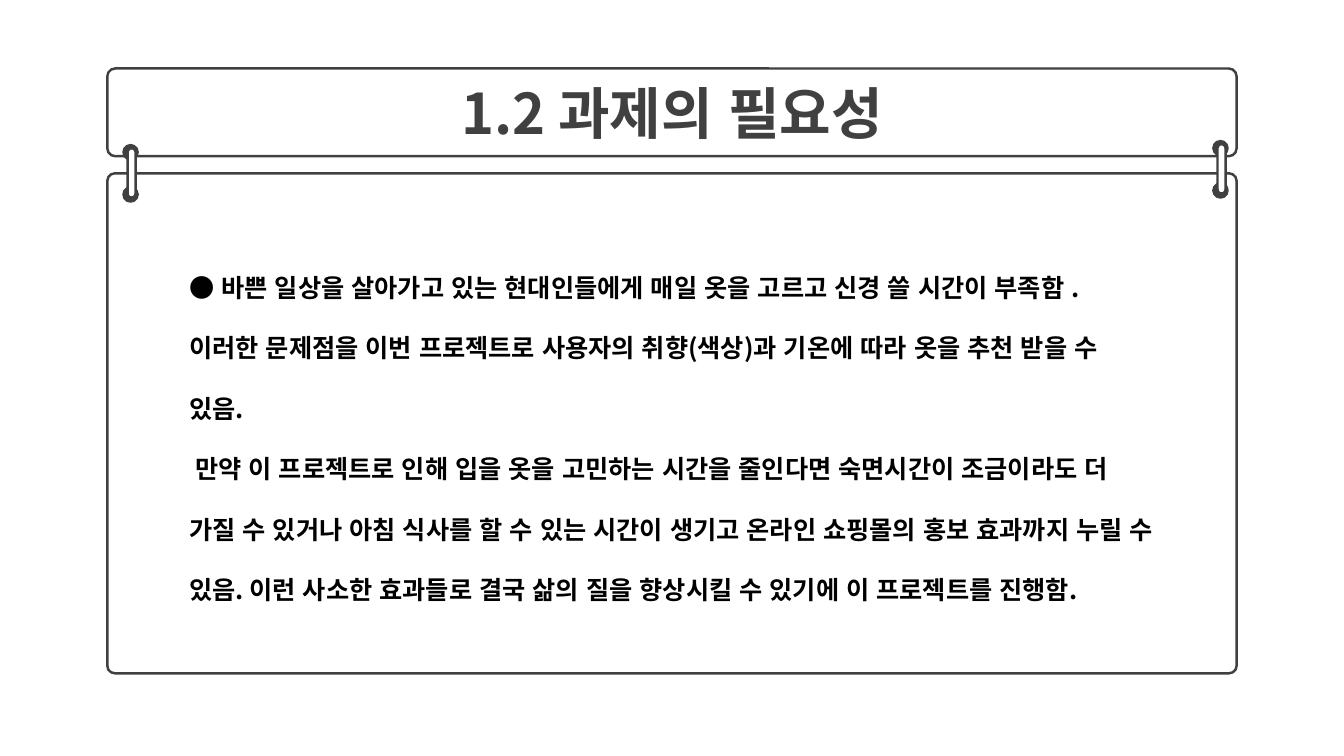
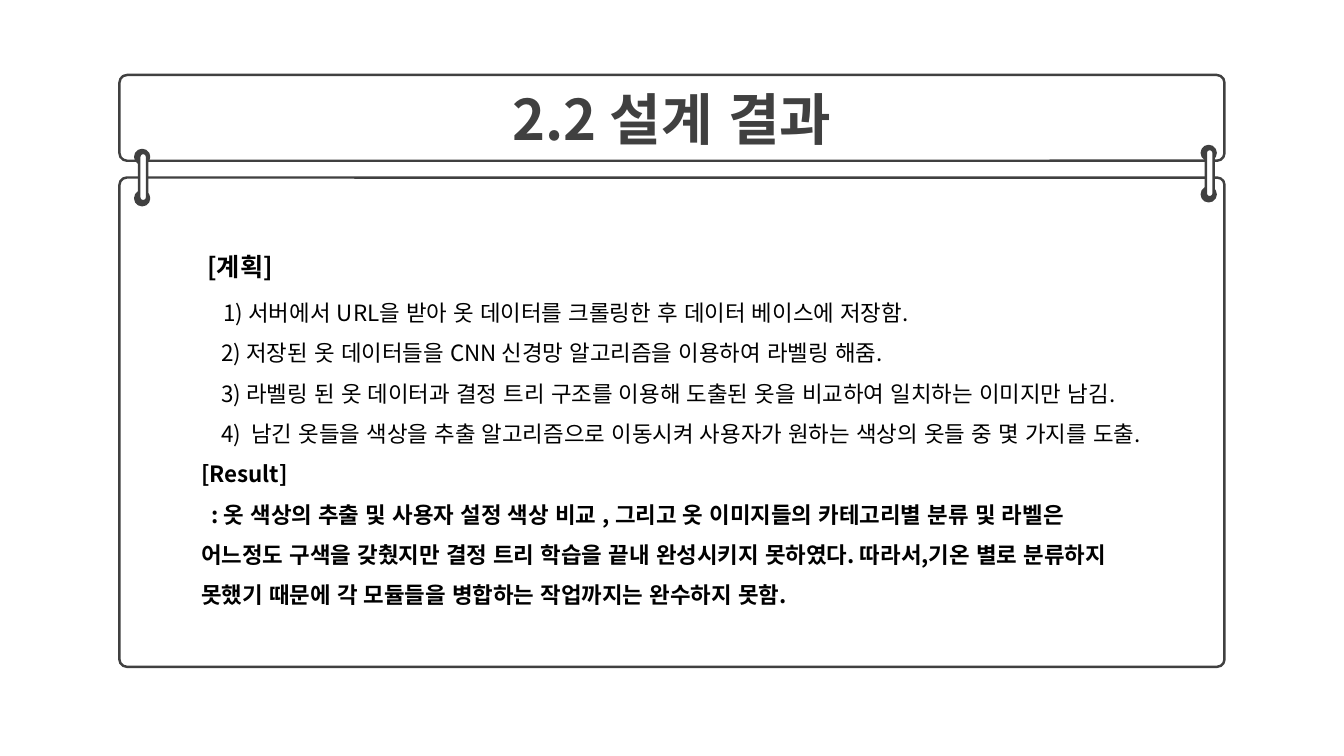
from pptx import Presentation
from pptx.dml.color import RGBColor
from pptx.enum.shapes import MSO_SHAPE as Shape
from pptx.enum.text import MSO_ANCHOR as Anchor, PP_ALIGN as Align
from pptx.oxml.ns import qn
from pptx.util import Inches, Pt

WIDE, HIGH = 13.33, 7.5
FONT = "Noto Sans CJK KR"
HUE = {"ink": "404040", "text": "000000", "paper": "FFFFFF"}

# Each paragraph: first-line indent in inches, space before in points,
# then runs of (text, size, bold); a newline is a line break
SLIDES = [
    {
        "title": "1.2 과제의 필요성", "wide": 11.2, "spacing": 2,
        "body": [
            (0, 0, [("●", 18, False),
                    (" 바쁜 일상을 살아가고 있는 현대인들에게 매일 옷을 고르고 신경 쓸 시간이 부족함 .\n"
                     "이러한 문제점을 이번 프로젝트로 사용자의 취향(색상)과 기온에 따라 옷을 추천 받을 수\n"
                     "있음.", 18, True)]),
            (0.06, 0, [("만약 이 프로젝트로 인해 입을 옷을 고민하는 시간을 줄인다면 숙면시간이 조금이라도 더\n"
                        "가질 수 있거나 아침 식사를 할 수 있는 시간이 생기고 온라인 쇼핑몰의 홍보 효과까지 누릴 수\n"
                        "있음. 이런 사소한 효과들로 결국 삶의 질을 향상시킬 수 있기에 이 프로젝트를 진행함.",
                        18, True)]),
        ],
    },
    {
        "title": "2.2 설계 결과", "wide": 10.96, "spacing": 1.5,
        "body": [
            (0.06, 0, [("[계획]", 18, True)]),
            (0.22, 3, [("1) 서버에서 URL을 받아 옷 데이터를 크롤링한 후 데이터 베이스에 저장함.", 16, False)]),
            (0.2, 0, [("2) 저장된 옷 데이터들을 CNN 신경망 알고리즘을 이용하여 라벨링 해줌.", 16, False)]),
            (0.2, 0, [("3) 라벨링 된 옷 데이터과 결정 트리 구조를 이용해 도출된 옷을 비교하여 "
                       "일치하는 이미지만 남김.", 16, False)]),
            (0.2, 0, [("4)  남긴 옷들을 색상을 추출 알고리즘으로 이동시켜 사용자가 원하는 색상의 옷들 중 "
                       "몇 가지를 도출.", 16, False)]),
            (0, 0, [("[Result]", 16, True)]),
            (0.1, 0, [(": 옷 색상의 추출 및 사용자 설정 색상 비교 , 그리고 옷 이미지들의 카테고리별 분류 및 "
                       "라벨은 어느정도 구색을 갖췄지만 결정 트리 학습을 끝내 완성시키지 못하였다. "
                       "따라서,기온 별로 분류하지 못했기 때문에 각 모듈들을 병합하는 작업까지는 "
                       "완수하지 못함.", 16, True)]),
        ],
    },
]

# Board at full scale, in inches; part places are relative to its corner
BOARD_W, BOARD_H, MIDDLE = 11.2, 6, 3.68
TITLE_H, BODY_TOP = 0.87, 1.04
RINGS = [(0.16, 0.76), (10.97, 0.72)]
DOT, DROP = 0.14, 0.42
PIN = (0.04, 0.03, 0.08, 0.49)


def tint(name):
    return RGBColor.from_string(HUE[name])


def add_box(group, box, round_, fill="paper"):
    """Rounded rectangle with the dark outline; box is in inches."""
    shape = group.add_shape(Shape.ROUNDED_RECTANGLE, *[Inches(n) for n in box])
    shape.adjustments[0] = round_
    shape.shadow.inherit = False
    shape.fill.solid()
    shape.fill.fore_color.rgb = tint(fill)
    shape.line.color.rgb = tint("ink")
    shape.line.width = Pt(1.75)
    return shape


def add_run(para, text, size, bold, hue):
    run = para.add_run()
    run.text = text
    font = run.font
    font.name, font.size, font.bold = FONT, Pt(size), bold
    font.color.rgb = tint(hue)
    props = font._element
    for key, value in (("lang", "ko-KR"), ("altLang", "en-US"), ("kern", "0")):
        props.set(key, value)
    east = props.makeelement(qn("a:ea"), {"typeface": FONT})
    props.find(qn("a:latin")).addnext(east)


def fill_title(shape, text):
    frame = shape.text_frame
    frame.vertical_anchor = Anchor.MIDDLE
    para = frame.paragraphs[0]
    para.alignment = Align.CENTER
    add_run(para, text, 40, True, "ink")


def fill_body(shape, paras, spacing):
    frame = shape.text_frame
    frame.word_wrap = True
    frame.vertical_anchor = Anchor.MIDDLE
    frame.margin_left = frame.margin_right = Inches(0.79)
    frame.margin_top = frame.margin_bottom = Inches(0.39)
    for i, (indent, before, runs) in enumerate(paras):
        para = frame.add_paragraph() if i else frame.paragraphs[0]
        para.alignment = Align.LEFT
        para.line_spacing = spacing
        para.space_before = Pt(before)
        props = para._p.get_or_add_pPr()
        props.set("marL", "0")
        props.set("indent", str(Inches(indent)))
        for text, size, bold in runs:
            for j, line in enumerate(text.split("\n")):
                if j:
                    para.add_line_break()
                add_run(para, line, size, bold, "text")


def add_board(slide, page):
    group = slide.shapes.add_group_shape().shapes
    scale = page["wide"] / BOARD_W
    left = (WIDE - page["wide"]) / 2
    top = MIDDLE - BOARD_H * scale / 2

    def place(x, y, w, h):
        return left + x * scale, top + y * scale, w * scale, h * scale

    title = add_box(group, place(0, 0, BOARD_W, TITLE_H), 0.089)
    fill_title(title, page["title"])
    body = add_box(group, place(0, BODY_TOP, BOARD_W, BOARD_H - BODY_TOP), 0.015)
    fill_body(body, page["body"], page["spacing"])
    for x, y in RINGS:
        for drop in (0, DROP):
            add_box(group, place(x, y + drop, DOT, DOT), 0.5, "ink")
        dx, dy, w, h = PIN
        add_box(group, place(x + dx, y + dy, w, h), 0.5)


def main():
    deck = Presentation()
    deck.slide_width, deck.slide_height = Inches(WIDE), Inches(HIGH)
    for page in SLIDES:
        add_board(deck.slides.add_slide(deck.slide_layouts[6]), page)
    deck.save("out.pptx")


if __name__ == "__main__":
    main()
